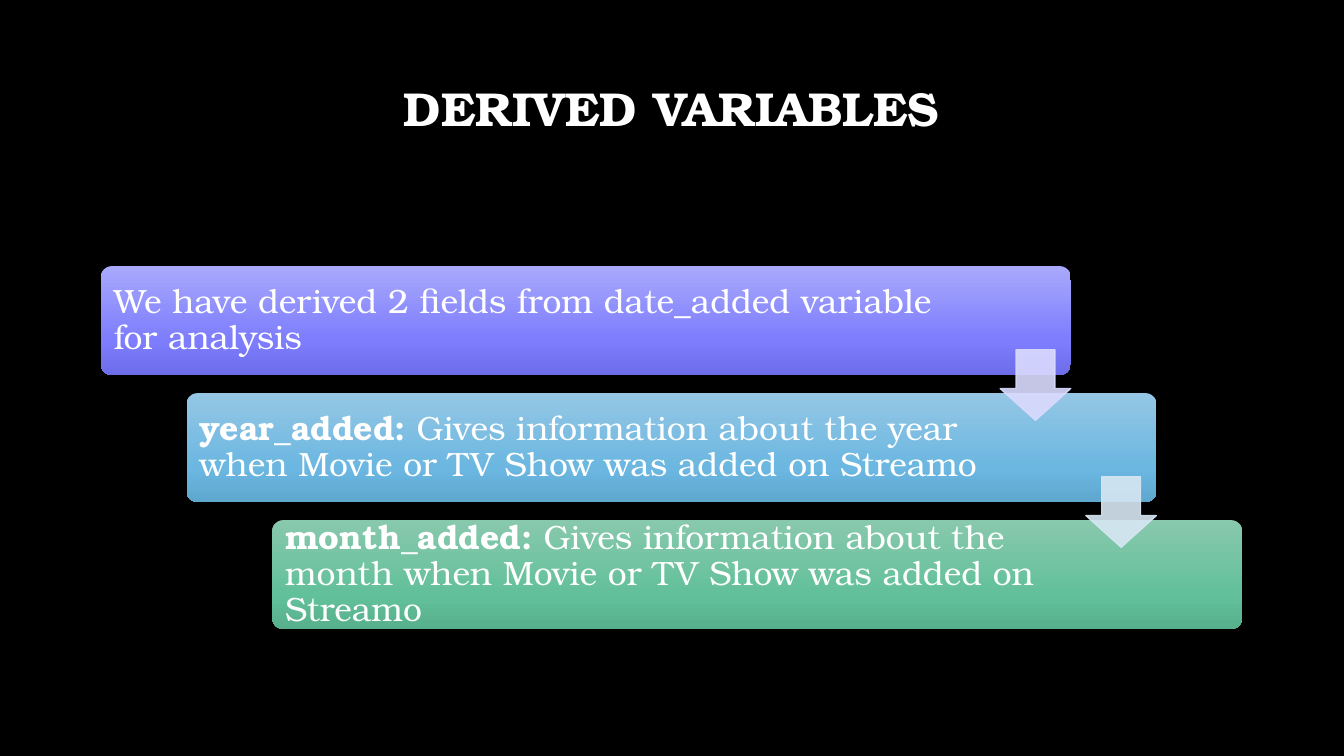
"""Build the slide on derived variables as a staircase of three steps."""
from dataclasses import dataclass

from lxml import etree
from pptx import Presentation
from pptx.dml.color import RGBColor
from pptx.enum.shapes import MSO_SHAPE as Shape
from pptx.enum.text import MSO_ANCHOR as Anchor, PP_ALIGN as Align
from pptx.oxml.ns import qn
from pptx.util import Inches, Pt


@dataclass(frozen=True)
class Theme:
    font: str = "TeX Gyre Bonum"
    background: str = "000000"
    text: str = "FFFFFF"
    title_size: int = 34
    body_size: int = 24
    line_spacing: float = 0.9
    step_gradients: tuple = (
        ("A8A8FD", "7D7DFD", "6D6DEA"),
        ("95C7E5", "6BB7E1", "5EA7CF"),
        ("88C8AD", "62C09A", "57B08C"),
    )
    gradient_stops: tuple = (0, 69, 100)
    arrows: tuple = ("DBDBFE", "D7E7F3")
    arrow_opacity: int = 90


def write_text(frame, runs, *, theme, size, align=Align.LEFT, margins=(0.1, 0.1, 0.1, 0.1)):
    frame.word_wrap = True
    frame.vertical_anchor = Anchor.MIDDLE
    (frame.margin_left, frame.margin_top,
     frame.margin_right, frame.margin_bottom) = map(Inches, margins)
    paragraph = frame.paragraphs[0]
    paragraph.alignment = align
    paragraph.line_spacing = theme.line_spacing
    for text, bold in runs:
        run = paragraph.add_run()
        run.text = text
        run.font.name = theme.font
        run.font.size = Pt(size)
        run.font.bold = bold
        run.font.color.rgb = RGBColor.from_string(theme.text)


class SlideBuilder:
    def __init__(self, slide, theme):
        self.slide = slide
        self.theme = theme
        fill = slide.background.fill
        fill.solid()
        fill.fore_color.rgb = RGBColor.from_string(theme.background)

    def title(self, text, left, top, width, height):
        title = self.slide.shapes.title
        title.left, title.top, title.width, title.height = map(
            Inches, (left, top, width, height))
        write_text(title.text_frame, [(text, True)], theme=self.theme,
                   size=self.theme.title_size, align=Align.CENTER,
                   margins=(0.1, 0.05, 0.1, 0.63))

    def shape(self, kind, left, top, width, height, adjustments):
        shape = self.slide.shapes.add_shape(
            kind, *map(Inches, (left, top, width, height)))
        shape.shadow.inherit = False
        for index, value in enumerate(adjustments):
            shape.adjustments[index] = value
        return shape

    def step(self, left, top, width, height, colors):
        step = self.shape(Shape.ROUNDED_RECTANGLE, left, top, width, height, [0.1])
        step.line.fill.background()
        step.fill.gradient()
        step.fill.gradient_angle = 270
        stops = step.fill._fill._gradFill.find(qn("a:gsLst"))
        for stop in list(stops):
            stops.remove(stop)
        for position, color in zip(self.theme.gradient_stops, colors):
            stop = etree.SubElement(stops, qn("a:gs"), pos=str(position * 1000))
            etree.SubElement(stop, qn("a:srgbClr"), val=color)

    def text(self, runs, left, top, width, height):
        box = self.slide.shapes.add_textbox(*map(Inches, (left, top, width, height)))
        write_text(box.text_frame, runs, theme=self.theme, size=self.theme.body_size)

    def arrow(self, left, top, size, color):
        arrow = self.shape(Shape.DOWN_ARROW, left, top, size, size, [0.55, 0.45])
        arrow.line.width = Pt(1)
        for fill in (arrow.fill, arrow.line.fill):
            fill.solid()
            fill.fore_color.rgb = RGBColor.from_string(color)
        for color_element in arrow._element.spPr.iter(qn("a:srgbClr")):
            etree.SubElement(color_element, qn("a:alpha"),
                             val=str(self.theme.arrow_opacity * 1000))


def main():
    theme = Theme()
    presentation = Presentation()
    presentation.slide_width = Inches(13.33)
    presentation.slide_height = Inches(7.5)
    slide = presentation.slides.add_slide(presentation.slide_layouts[5])
    builder = SlideBuilder(slide, theme)
    builder.title("DERIVED VARIABLES", 1, 0.67, 11.32, 1.45)

    steps = [
        ([("We have derived 2 fields from date_added variable for analysis", False)], 8.45),
        ([("year_added:", True),
          (" Gives information about the year when Movie or TV Show "
           "was added on Streamo", False)], 8.01),
        ([("month_added:", True),
          (" Gives information about the month when Movie or TV Show "
           "was added on Streamo", False)], 8.01),
    ]
    first_left, first_top, width, height = 1, 2.64, 9.62, 1.08
    shift, drop, arrow_size = 0.85, 1.26, 0.7
    corners = [(first_left + index * shift, first_top + index * drop)
               for index in range(len(steps))]

    for (left, top), (runs, text_width), colors in zip(corners, steps, theme.step_gradients):
        builder.step(left, top, width, height, colors)
        builder.text(runs, left + 0.03, top + 0.03, text_width, 1.02)
    for (left, top), color in zip(corners, theme.arrows):
        builder.arrow(left + width - arrow_size, top + 0.83, arrow_size, color)

    presentation.save("out.pptx")


if __name__ == "__main__":
    main()
